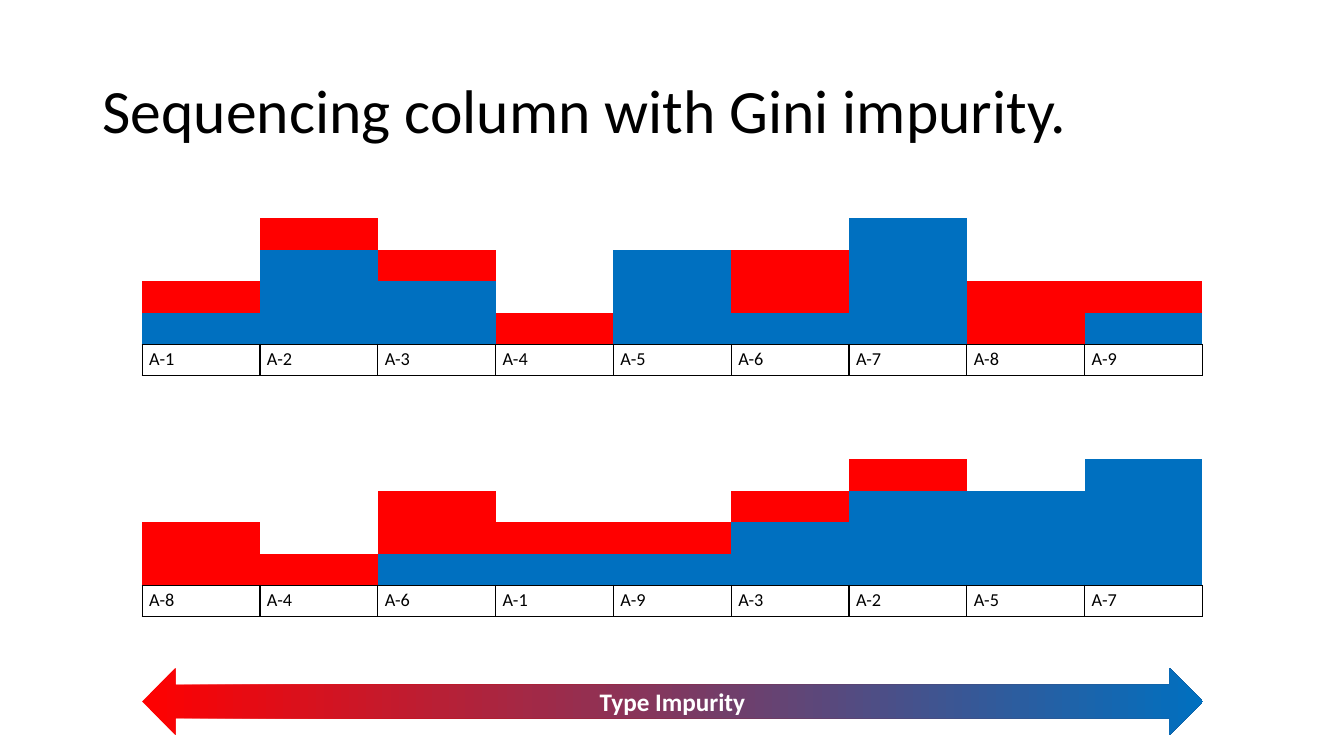
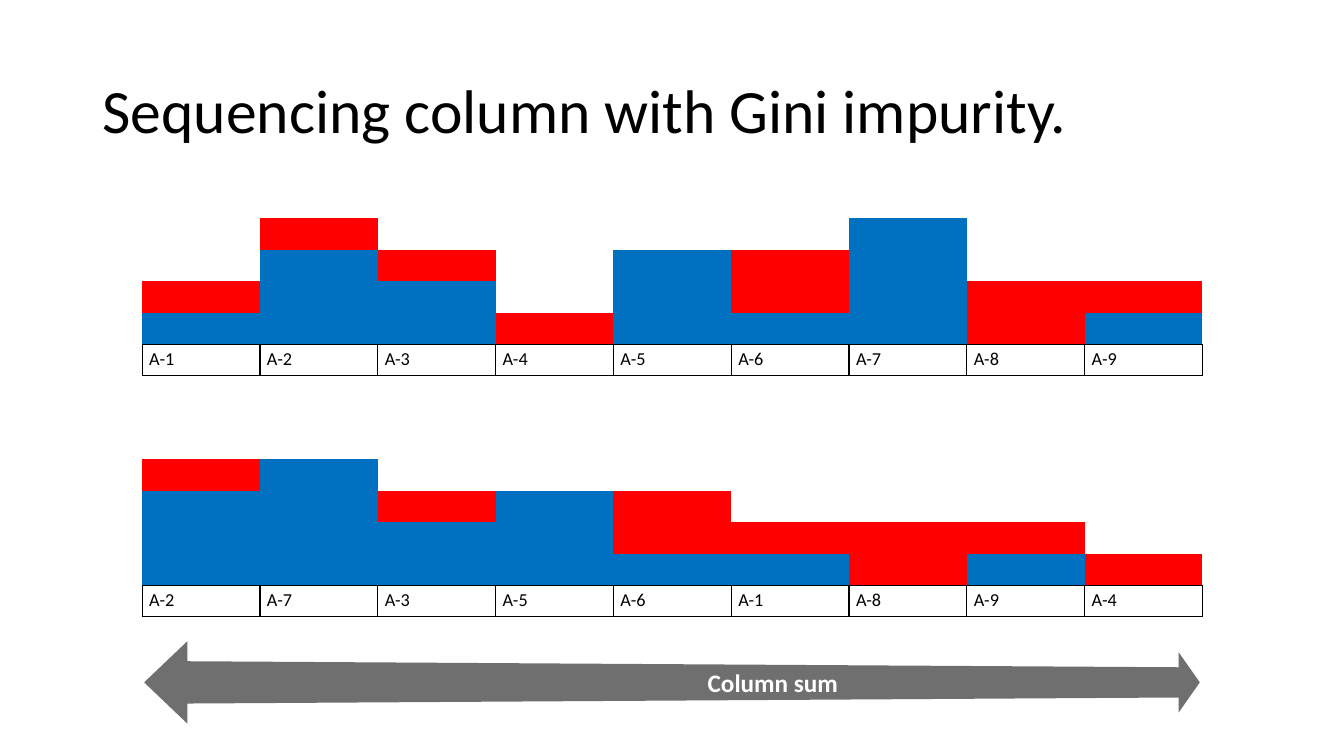
import pptx
import pptx.util
import pptx.dml.color
import pptx.enum.shapes
import pptx.enum.text
import pptx.oxml
import pptx.oxml.ns

Inches = pptx.util.Inches
Pt = pptx.util.Pt
qn = pptx.oxml.ns.qn

COLORS = {
    "text": "000000",
    "empty": "FFFFFF",
    "blue": "0070C0",
    "red": "FF0000",
    "gray": "6F6F6F",
}
FONT = "Calibri"
NO_STYLE = "{2D5ABB26-0587-4C30-8999-92F81FD0307C}"
LEFT, WIDTH = 1.41, 10.52
LEVELS = 5
TABLE_HEIGHT = 1.88

TITLE = "Sequencing column with Gini impurity."
STACKS = {
    "A-1": (1, 1),
    "A-2": (3, 1),
    "A-3": (2, 1),
    "A-4": (0, 1),
    "A-5": (3, 0),
    "A-6": (1, 2),
    "A-7": (4, 0),
    "A-8": (0, 2),
    "A-9": (1, 1),
}
BY_IMPURITY = ["A-8", "A-4", "A-6", "A-1", "A-9", "A-3", "A-2", "A-5", "A-7"]
BY_SUM = ["A-2", "A-7", "A-3", "A-5", "A-6", "A-1", "A-8", "A-9", "A-4"]


def rgb(name):
    return pptx.dml.color.RGBColor.from_string(COLORS[name])


class Deck:
    def __init__(self):
        self.prs = pptx.Presentation()
        self.prs.slide_width = Inches(13.33)
        self.prs.slide_height = Inches(7.5)
        self.s = None

    def slide(self, title):
        self.s = self.prs.slides.add_slide(self.prs.slide_layouts[6])
        sp = self.s.shapes.add_textbox(
            Inches(0.92), Inches(0.4), Inches(11.5), Inches(1.45))
        p = self.text(sp.text_frame, title, 44)
        p.line_spacing = 0.9

    def text(self, tf, text, size, color="text", bold=False):
        tf.word_wrap = True
        tf.vertical_anchor = pptx.enum.text.MSO_ANCHOR.MIDDLE
        p = tf.paragraphs[0]
        p.text = text
        p.font.name = FONT
        p.font.size = Pt(size)
        p.font.bold = bold
        p.font.color.rgb = rgb(color)
        return p

    def borders(self, cell, sides):
        for side in sides:
            cell._tc.get_or_add_tcPr().append(pptx.oxml.parse_xml(
                f'<a:ln{side} {pptx.oxml.ns.nsdecls("a")} w="12700"><a:solidFill>'
                f'<a:srgbClr val="{COLORS["text"]}"/></a:solidFill></a:ln{side}>'))

    def fill_cell(self, cell, color, sides=""):
        self.borders(cell, sides)
        cell.fill.solid()
        cell.fill.fore_color.rgb = rgb(color)
        cell.margin_left = cell.margin_right = Inches(0.07)
        cell.margin_top = cell.margin_bottom = 0
        cell.text_frame.paragraphs[0].font.size = Pt(13)

    def stacks(self, top, names):
        table = self.s.shapes.add_table(
            LEVELS + 1, len(names), Inches(LEFT), Inches(top),
            Inches(WIDTH), Inches(TABLE_HEIGHT)).table
        table.first_row = table.horz_banding = False
        table._tbl.tblPr.find(qn("a:tableStyleId")).text = NO_STYLE
        for col, name in enumerate(names):
            blue, red = STACKS[name]
            colors = ["blue"] * blue + ["red"] * red
            colors += ["empty"] * (LEVELS - len(colors))
            for level, color in enumerate(colors):
                cell = table.cell(LEVELS - 1 - level, col)
                self.fill_cell(cell, color, "B" if level == 0 else "")
            label = table.cell(LEVELS, col)
            self.fill_cell(label, "empty", "LRTB")
            label.margin_top = label.margin_bottom = Inches(0.04)
            self.text(label.text_frame, name, 13)
            label.vertical_anchor = pptx.enum.text.MSO_ANCHOR.TOP

    def arrow_text(self, sp, text):
        sp.shadow.inherit = False
        sp.line.fill.background()
        p = self.text(sp.text_frame, text, 18, "empty", True)
        p.alignment = pptx.enum.text.PP_ALIGN.CENTER

    def gradient_arrow(self, text):
        sp = self.s.shapes.add_shape(
            pptx.enum.shapes.MSO_SHAPE.LEFT_RIGHT_ARROW,
            Inches(LEFT), Inches(6.63), Inches(WIDTH), Inches(0.66))
        sp.fill.gradient()
        sp.fill.gradient_angle = 0
        for stop, color in zip(sp.fill.gradient_stops, ("red", "blue")):
            stop.color.rgb = rgb(color)
        self.arrow_text(sp, text)

    def tapered_arrow(self, text):
        middle = 6.77
        upper = [(1.86, 0.41), (1.86, 0.21), (11.69, 0.15), (11.69, 0.3)]
        points = [(x, middle - dy) for x, dy in upper]
        points += [(11.9, middle)]
        points += [(x, middle + dy) for x, dy in reversed(upper)]
        builder = self.s.shapes.build_freeform(
            Inches(1.43), Inches(middle), scale=1.0)
        builder.add_line_segments(
            [(Inches(x), Inches(y)) for x, y in points], close=True)
        sp = builder.convert_to_shape()
        sp.fill.solid()
        sp.fill.fore_color.rgb = rgb("gray")
        self.arrow_text(sp, text)
        sp.text_frame.margin_left = Inches(2.1)


def main():
    deck = Deck()
    for order, arrow, label in (
            (BY_IMPURITY, deck.gradient_arrow, "Type Impurity"),
            (BY_SUM, deck.tapered_arrow, "Column sum")):
        deck.slide(TITLE)
        deck.stacks(4.24, order)
        deck.stacks(1.85, list(STACKS))
        arrow(label)
    deck.prs.save("out.pptx")


if __name__ == "__main__":
    main()
